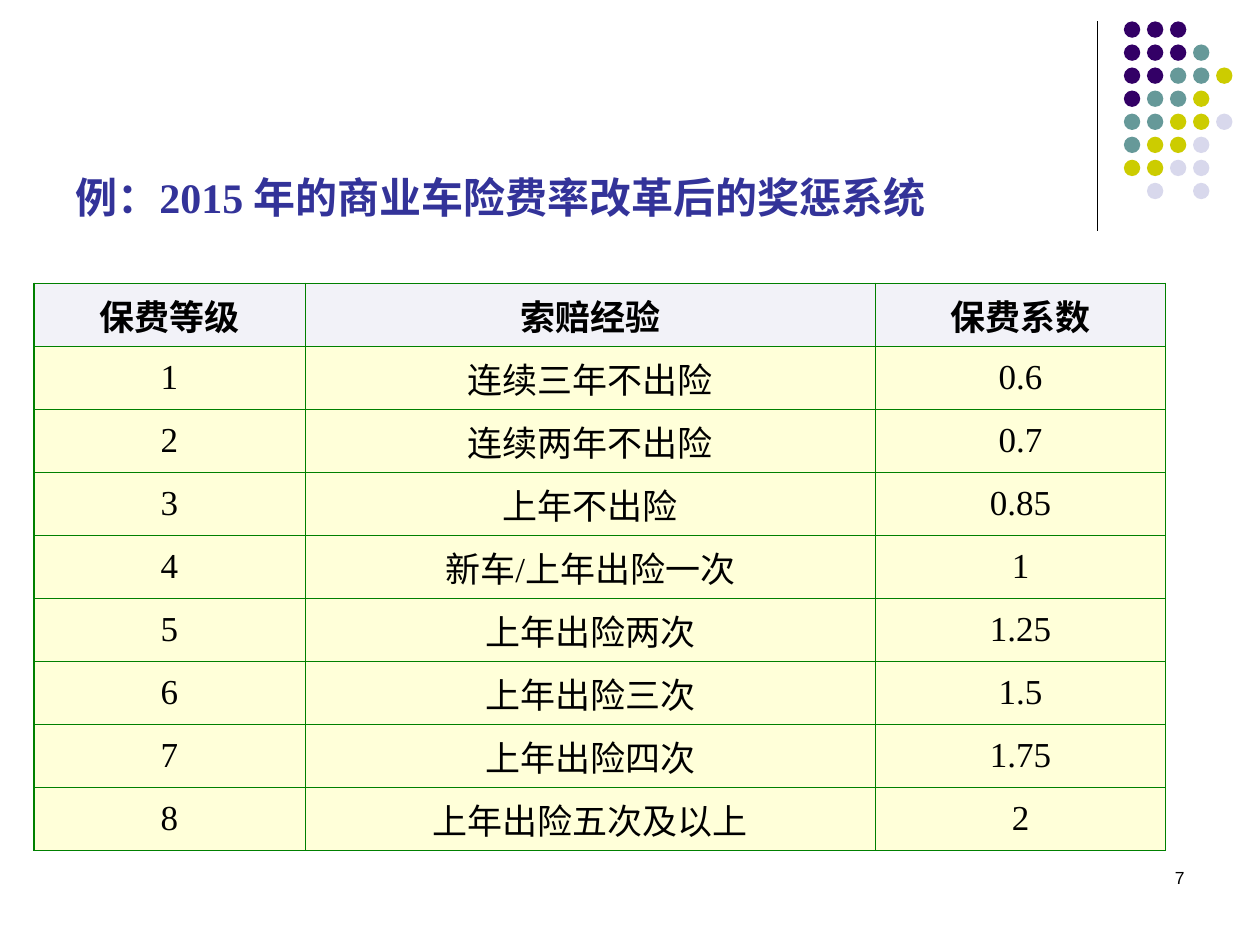
"""Build the slide on the premium rating system for motor insurance."""
from typing import NamedTuple

from lxml.etree import SubElement
from pptx import Presentation
from pptx.dml.color import RGBColor
from pptx.enum.shapes import MSO_CONNECTOR, MSO_SHAPE
from pptx.enum.text import MSO_ANCHOR, PP_ALIGN
from pptx.oxml.ns import qn
from pptx.util import Inches, Pt

BLACK = RGBColor(0x00, 0x00, 0x00)
HEADING_BLUE = RGBColor(0x33, 0x33, 0x99)
BORDER_GREEN = RGBColor(0x00, 0x80, 0x00)
HEADER_FILL = RGBColor(0xF2, 0xF2, 0xF8)
BODY_FILL = RGBColor(0xFF, 0xFF, 0xD9)
DOT_COLORS = {
    "P": RGBColor(0x33, 0x00, 0x66),
    "T": RGBColor(0x66, 0x99, 0x99),
    "Y": RGBColor(0xCC, 0xCC, 0x00),
    "L": RGBColor(0xD8, 0xD8, 0xEC),
}
DOT_ROWS = ("PPP", "PPPT", "PPTTY", "PTTY", "TTYYL", "TYYL", "YYLL", ".L.L")
DOT_PITCH = 0.183
DOT_SIZE = 0.13
SERIF = "Times New Roman"
THICK = Pt(1.08)
THIN = Pt(0.45)
COLUMN_WIDTHS = (2.15, 4.53, 2.3)
ROW_HEIGHT = 0.5


class Grade(NamedTuple):
    level: str
    claims: str
    factor: str


GRADES = (
    Grade("保费等级", "索赔经验", "保费系数"),
    Grade("1", "连续三年不出险", "0.6"),
    Grade("2", "连续两年不出险", "0.7"),
    Grade("3", "上年不出险", "0.85"),
    Grade("4", "新车/上年出险一次", "1"),
    Grade("5", "上年出险两次", "1.25"),
    Grade("6", "上年出险三次", "1.5"),
    Grade("7", "上年出险四次", "1.75"),
    Grade("8", "上年出险五次及以上", "2"),
)


def style_font(para, name: str, size: float, color: RGBColor, bold: bool = False) -> None:
    para.font.name = name
    para.font.size = Pt(size)
    para.font.color.rgb = color
    para.font.bold = bold


def draw_dots(page) -> None:
    for row, pattern in enumerate(DOT_ROWS):
        for column, key in enumerate(pattern):
            if key not in DOT_COLORS:
                continue
            dot = page.shapes.add_shape(
                MSO_SHAPE.OVAL,
                Inches(8.92 + column * DOT_PITCH), Inches(0.17 + row * DOT_PITCH),
                Inches(DOT_SIZE), Inches(DOT_SIZE))
            dot.shadow.inherit = False
            dot.fill.solid()
            dot.fill.fore_color.rgb = DOT_COLORS[key]
            dot.line.fill.background()


def draw_divider(page) -> None:
    divider = page.shapes.add_connector(
        MSO_CONNECTOR.STRAIGHT, Inches(8.71), Inches(0.17), Inches(8.71), Inches(1.83))
    divider.line.color.rgb = BLACK
    divider.line.width = Pt(0.75)
    SubElement(divider._element.spPr, qn("a:effectLst"))


def add_text(page, left: float, top: float, width: float, height: float, text: str):
    box = page.shapes.add_textbox(Inches(left), Inches(top), Inches(width), Inches(height))
    box.text_frame.word_wrap = True
    para = box.text_frame.paragraphs[0]
    para.text = text
    return para


def draw_heading(page) -> None:
    para = add_text(page, 0.5, 1.23, 9, 0.75, "例：2015 年的商业车险费率改革后的奖惩系统")
    para.line_spacing = 1.2
    properties = para._p.get_or_add_pPr()
    properties.set("marL", str(Inches(0.67)))
    properties.set("indent", str(-Inches(0.67)))
    style_font(para, SERIF, 24, HEADING_BLUE, bold=True)


def draw_page_number(page) -> None:
    para = add_text(page, 7.17, 6.83, 2.33, 0.5, "7")
    para.alignment = PP_ALIGN.RIGHT
    style_font(para, "Arial", 10, BLACK)


def set_borders(cell, widths: dict[str, int]) -> None:
    properties = cell._tc.get_or_add_tcPr()
    for position, (side, width) in enumerate(widths.items()):
        border = properties.makeelement(qn(f"a:{side}"), {"w": str(int(width))})
        fill = SubElement(border, qn("a:solidFill"))
        SubElement(fill, qn("a:srgbClr"), val=str(BORDER_GREEN))
        properties.insert(position, border)


def draw_table(page) -> None:
    table = page.shapes.add_table(
        len(GRADES), len(COLUMN_WIDTHS), Inches(0.27), Inches(2.25),
        Inches(sum(COLUMN_WIDTHS)), Inches(ROW_HEIGHT * len(GRADES))).table
    for column, width in zip(table.columns, COLUMN_WIDTHS):
        column.width = Inches(width)
    last = len(COLUMN_WIDTHS) - 1
    for row, grade in enumerate(GRADES):
        header = row == 0
        for column, text in enumerate(grade):
            cell = table.cell(row, column)
            cell.vertical_anchor = MSO_ANCHOR.MIDDLE
            cell.fill.solid()
            cell.fill.fore_color.rgb = HEADER_FILL if header else BODY_FILL
            set_borders(cell, {
                "lnL": THICK if column == 0 else THIN,
                "lnR": THICK if column == last else THIN,
                "lnT": THICK if header else THIN,
                "lnB": THIN,
            })
            para = cell.text_frame.paragraphs[0]
            para.text = text
            para.alignment = PP_ALIGN.CENTER
            style_font(para, SERIF, 20, BLACK, bold=header)


def main() -> None:
    deck = Presentation()
    deck.slide_width = Inches(10)
    deck.slide_height = Inches(7.5)
    page = deck.slides.add_slide(deck.slide_layouts[6])
    draw_divider(page)
    draw_dots(page)
    draw_page_number(page)
    draw_heading(page)
    draw_table(page)
    deck.save("out.pptx")


if __name__ == "__main__":
    main()
